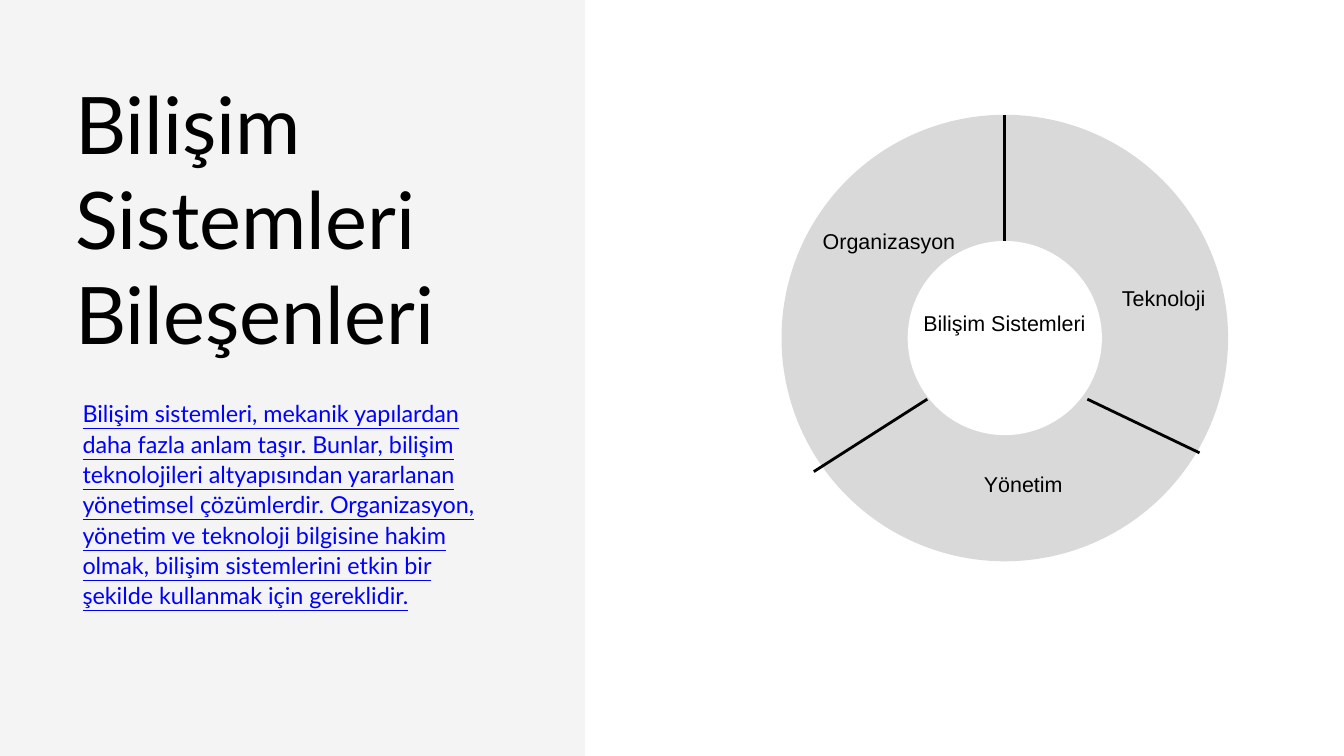
from dataclasses import dataclass

from lxml import etree
from pptx import Presentation
from pptx import util as u
from pptx.dml.color import RGBColor
from pptx.enum import shapes, text
from pptx.oxml.ns import qn


@dataclass(frozen=True)
class Theme:
    panel: str = "F4F4F4"
    ring: str = "D9D9D9"
    paper: str = "FFFFFF"
    ink: str = "000000"
    link: str = "0000FF"
    heading_font: str = "Lato"
    label_font: str = "Arial"
    title_size: float = 85
    body_size: float = 25
    label_size: float = 23
    line_width: float = 3


def write_text(frame, content, *, font, size, color, leading,
               align=text.PP_ALIGN.LEFT, underline=None):
    frame.word_wrap = True
    frame.margin_left = frame.margin_right = 0
    frame.margin_top = frame.margin_bottom = 0
    paragraph = frame.paragraphs[0]
    paragraph.alignment = align
    paragraph.line_spacing = u.Pt(leading)
    run = paragraph.add_run()
    run.text = content
    run.font.name = font
    run.font.size = u.Pt(size)
    run.font.color.rgb = RGBColor.from_string(color)
    run.font.underline = underline


class SlideBuilder:
    def __init__(self, slide, theme):
        self.slide = slide
        self.theme = theme

    def shape(self, kind, left, top, width, height, color):
        shape = self.slide.shapes.add_shape(
            kind, u.Cm(left), u.Cm(top), u.Cm(width), u.Cm(height))
        shape.shadow.inherit = False
        shape.fill.solid()
        shape.fill.fore_color.rgb = RGBColor.from_string(color)
        shape.line.fill.background()

    def circle(self, center, radius, color):
        x, y = center
        self.shape(shapes.MSO_SHAPE.OVAL, x - radius, y - radius,
                   2 * radius, 2 * radius, color)

    def textbox(self, content, left, top, width, height, **style):
        box = self.slide.shapes.add_textbox(
            u.Cm(left), u.Cm(top), u.Cm(width), u.Cm(height))
        write_text(box.text_frame, content, **style)

    def label(self, content, left, top, width, height):
        self.textbox(content, left, top, width, height,
                     font=self.theme.label_font, size=self.theme.label_size,
                     color=self.theme.ink, leading=32.2,
                     align=text.PP_ALIGN.CENTER)

    def divider(self, start, end):
        connector = self.slide.shapes.add_connector(
            shapes.MSO_CONNECTOR.STRAIGHT,
            *(u.Cm(value) for value in (*start, *end)))
        connector.line.color.rgb = RGBColor.from_string(self.theme.ink)
        connector.line.width = u.Pt(self.theme.line_width)
        properties = connector._element.spPr
        etree.SubElement(properties, qn("a:effectLst"))


def main():
    presentation = Presentation()
    presentation.slide_width = u.Cm(50.8)
    presentation.slide_height = u.Cm(28.58)
    slide = presentation.slides.add_slide(presentation.slide_layouts[6])
    theme = Theme()
    builder = SlideBuilder(slide, theme)

    # Left panel
    builder.shape(shapes.MSO_SHAPE.RECTANGLE, 0, 0, 22.12, 28.58, theme.panel)

    # Ring with its hole
    center = x, y = 37.98, 12.78
    outer, inner = 8.44, 3.67
    builder.circle(center, outer, theme.ring)
    builder.circle(center, inner, theme.paper)

    # Title and description
    builder.textbox("Bilişim Sistemleri Bileşenleri", 2.84, 2.84, 15.52, 10.8,
                    font=theme.heading_font, size=theme.title_size,
                    color=theme.ink, leading=102)
    builder.textbox(
        "Bilişim sistemleri, mekanik yapılardan daha fazla anlam taşır. "
        "Bunlar, bilişim teknolojileri altyapısından yararlanan yönetimsel "
        "çözümlerdir. Organizasyon, yönetim ve teknoloji bilgisine hakim "
        "olmak, bilişim sistemlerini etkin bir şekilde kullanmak için "
        "gereklidir.",
        3.12, 15.01, 15.85, 7.95,
        font=theme.heading_font, size=theme.body_size,
        color=theme.link, leading=32.5, underline=True)

    # Dividers between the three sectors
    builder.divider((41.1, 15.09), (45.34, 17.12))
    builder.divider((35.05, 15.09), (30.76, 17.83))
    builder.divider((x, y - outer), (x, y - inner))

    # Labels of the centre and the sectors
    for content, left, top, width, height in (
        ("Bilişim Sistemleri", 34.72, 11.56, 6.5, 2.24),
        ("Teknoloji", 40.74, 10.62, 6.5, 1.14),
        ("Organizasyon", 30.76, 8.46, 5.69, 1.14),
        ("Yönetim", 35.43, 17.65, 6.5, 1.14),
    ):
        builder.label(content, left, top, width, height)

    presentation.save("out.pptx")


if __name__ == "__main__":
    main()
